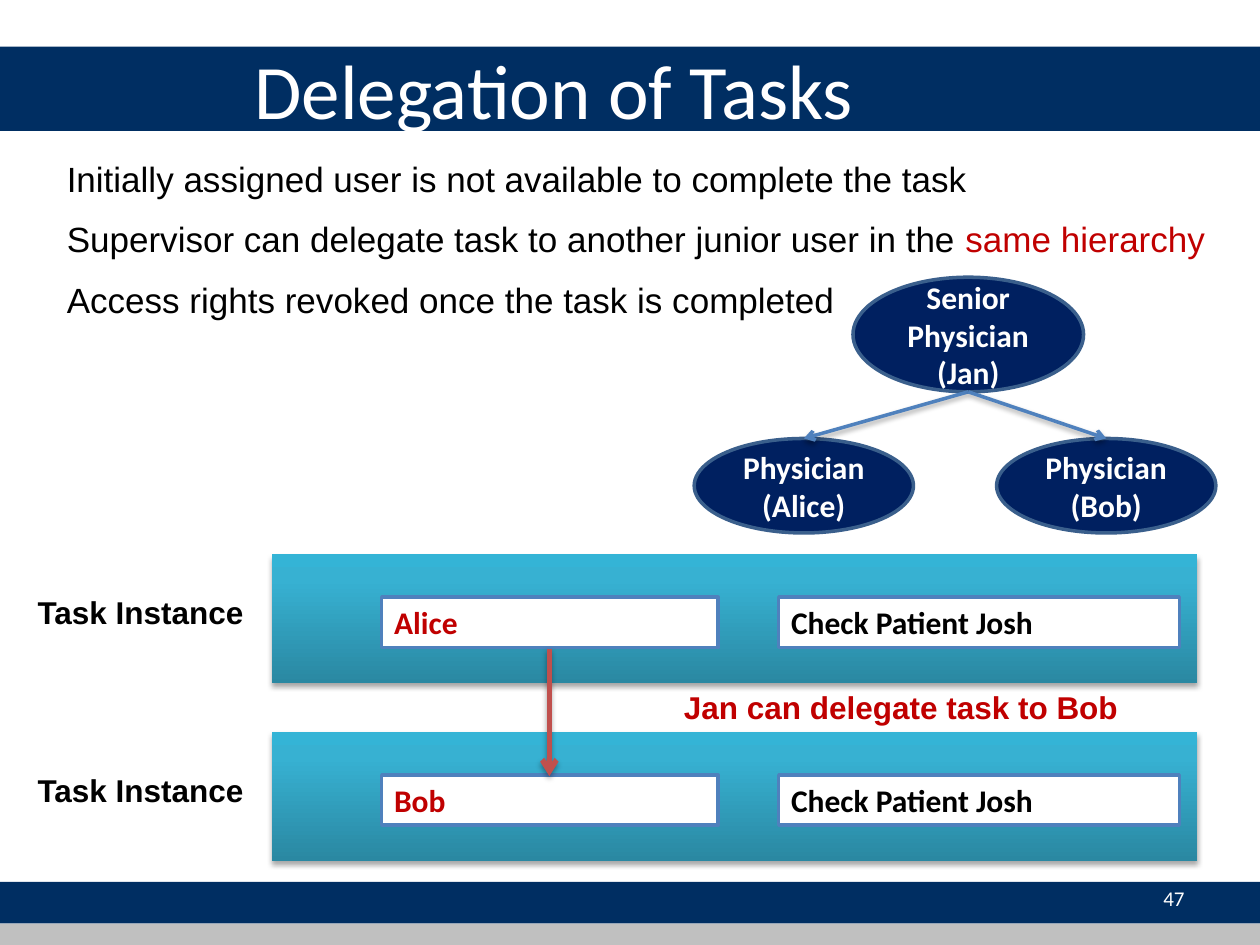
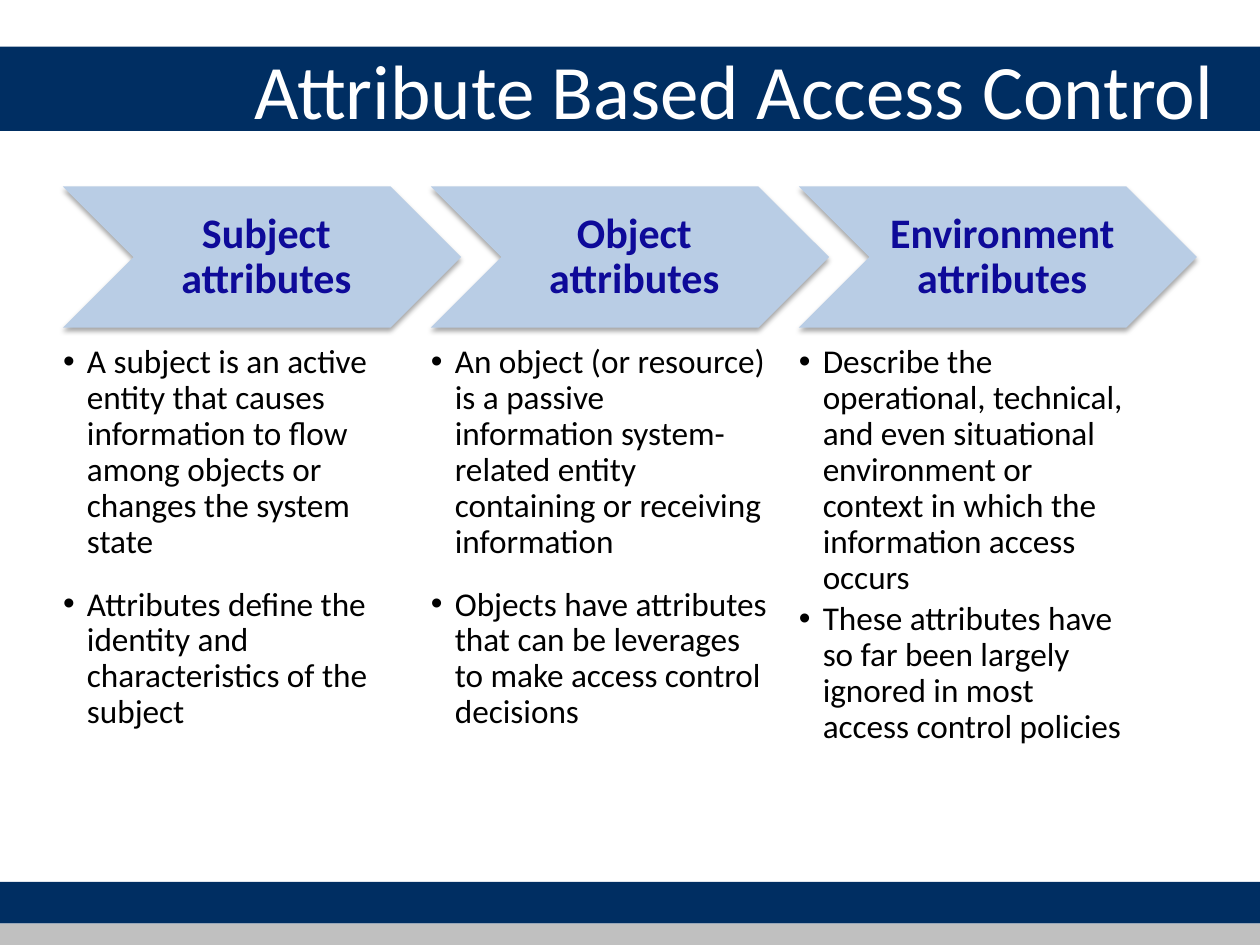
from copy import deepcopy

from lxml.etree import SubElement
from pptx import Presentation
from pptx.dml.color import RGBColor
from pptx.enum.shapes import MSO_CONNECTOR, MSO_SHAPE
from pptx.enum.text import MSO_ANCHOR, MSO_AUTO_SIZE, PP_ALIGN
from pptx.oxml.ns import qn
from pptx.util import Emu, Inches, Pt

# ---- Shared look ----
WIDTH, HEIGHT = 10, 7.5
NAVY, GRAY, WHITE, BLACK = "002E62", "C0C0C0", "FFFFFF", "000000"
RED, BLUE, OVAL, OVAL_EDGE = "C00000", "4F81BD", "002060", "3A5F8C"
DELEGATE_ARROW, CHEVRON, CHEVRON_TEXT = "C0504D", "B9CDE5", "0E0A99"
TEAL_STOPS = [(0, "2A88A2"), (0.8, "37B1D2"), (1, "34B4D6")]
BANDS = [(7, 0.33, NAVY), (0.37, 0.67, NAVY), (7.33, 0.17, GRAY)]
TITLE_BOX = (1.92, 0.08, 7.92, 1.25)

# ---- Content: delegation ----
DELEGATION_TITLE = "Delegation of Tasks"
DELEGATION_POINTS = [
    [("Initially assigned user is not available to complete the task", BLACK)],
    [("Supervisor can delegate task to another junior user in the ", BLACK),
     ("same hierarchy", RED)],
    [("Access rights revoked once the task is completed", BLACK)],
]
SENIOR = ("Senior Physician (Jan)", (6.77, 2.2, 1.83, 0.91))
JUNIORS = [("Physician (Alice)", 5.51), ("Physician (Bob)", 7.91)]
JUNIOR_TOP, JUNIOR_WIDTH, JUNIOR_HEIGHT = 3.48, 1.74, 0.75
TASK_LABEL = "Task Instance"
TASKS = [(4.4, "Alice", "Check Patient Josh"), (5.81, "Bob", "Check Patient Josh")]
DELEGATE_NOTE = "Jan can delegate task to Bob"
PAGE_NUMBER = "47"

# ---- Content: attributes (heading, text width, gap after first point, points) ----
ATTRIBUTES_TITLE = "Attribute Based Access Control"
ATTRIBUTES = [
    ("Subject attributes", 2.52, 15.2, [
        "A subject is an active entity that causes information to flow among "
        "objects or changes the system state",
        "Attributes define the identity and characteristics of the subject"]),
    ("Object attributes", 2.68, 15.2, [
        "An object (or resource) is a passive information system-related entity "
        "containing or receiving information",
        "Objects have attributes that can be leverages to make access control "
        "decisions"]),
    ("Environment attributes", 2.6, 2.85, [
        "Describe the operational, technical, and even situational environment "
        "or context in which the information access occurs",
        "These attributes have so far been largely ignored in most access "
        "control policies"]),
]
COLUMN_LEFT, COLUMN_STEP = 0.5, 2.92


# ---- Helpers ----
def rgb(value):
    return RGBColor.from_string(value)


def place(part, box):
    part.left, part.top, part.width, part.height = map(Inches, box)


def style(paragraph, size, color, font="Calibri", bold=False, align=PP_ALIGN.LEFT):
    paragraph.alignment = align
    paragraph.font.size, paragraph.font.name = Pt(size), font
    paragraph.font.bold = bold
    paragraph.font.color.rgb = rgb(color)


def set_indent(paragraph, bullet=None, hang=0):
    props = paragraph._p.get_or_add_pPr()
    props.set("marL", str(Inches(hang)))
    props.set("indent", str(-Inches(hang)))
    if bullet:
        SubElement(props, qn("a:buFont"), typeface="Arial")
        SubElement(props, qn("a:buChar"), char=bullet)
    else:
        SubElement(props, qn("a:buNone"))


def set_margins(frame, left, top, right, bottom):
    frame.margin_left, frame.margin_top = Inches(left), Inches(top)
    frame.margin_right, frame.margin_bottom = Inches(right), Inches(bottom)


def add_shadow(part):
    props = part._element.spPr
    effects = props.find(qn("a:effectLst"))
    if effects is None:
        effects = SubElement(props, qn("a:effectLst"))
    outer = SubElement(effects, qn("a:outerShdw"), blurRad=str(Pt(3.1)),
                       dist=str(Pt(1.8)), dir="5400000", rotWithShape="0")
    color = SubElement(outer, qn("a:srgbClr"), val=BLACK)
    SubElement(color, qn("a:alpha"), val="35000")


def add_block(slide, kind, box, fill=None, edge=None):
    block = slide.shapes.add_shape(kind, *map(Inches, box))
    block.shadow.inherit = False
    if fill:
        block.fill.solid()
        block.fill.fore_color.rgb = rgb(fill)
    if edge:
        block.line.color.rgb, block.line.width = rgb(edge), Pt(2)
    else:
        block.line.fill.background()
    return block


def write(part, text, size, color, anchor=MSO_ANCHOR.TOP, **look):
    frame = part.text_frame
    frame.word_wrap, frame.vertical_anchor = True, anchor
    frame.text = text
    style(frame.paragraphs[0], size, color, **look)
    return frame


def add_label(slide, box, text, size, color, **look):
    write(slide.shapes.add_textbox(*map(Inches, box)), text, size, color, **look)


def add_arrow(slide, start, end, color, width):
    arrow = slide.shapes.add_connector(
        MSO_CONNECTOR.STRAIGHT, *map(Inches, start + end))
    arrow.line.color.rgb, arrow.line.width = rgb(color), Pt(width)
    SubElement(arrow.line._get_or_add_ln(), qn("a:tailEnd"), type="arrow")
    add_shadow(arrow)


def add_slide(deck, layout, title):
    slide = deck.slides.add_slide(deck.slide_layouts[layout])
    frame = write(slide.shapes.title, title, 44, WHITE, anchor=MSO_ANCHOR.MIDDLE)
    frame.auto_size = MSO_AUTO_SIZE.NONE
    return slide


def set_master(deck, slide):
    """Put the bands behind everything on the master and place its title."""
    master = deck.slide_master
    place(master.placeholders[0], TITLE_BOX)
    for top, height, color in BANDS:
        band = add_block(slide, MSO_SHAPE.RECTANGLE, (0, top, WIDTH, height), color)
        master.shapes._spTree.insert(2, band._element)


# ---- Delegation slide ----
def add_points(slide):
    body = slide.placeholders[1]
    place(body, (0.43, 1.2, WIDTH - 0.43, 1.4))
    frame = body.text_frame
    frame.auto_size = MSO_AUTO_SIZE.NONE
    for number, runs in enumerate(DELEGATION_POINTS):
        point = frame.add_paragraph() if number else frame.paragraphs[0]
        for text, color in runs:
            run = point.add_run()
            run.text = text
            run.font.color.rgb = rgb(color)
        set_indent(point)
        point.space_before = Pt(10.5 if number else 0)
        style(point, 20, BLACK, font="Arial")


def add_person(slide, name, box):
    oval = add_block(slide, MSO_SHAPE.OVAL, box, OVAL, OVAL_EDGE)
    write(oval, name, 18, WHITE, anchor=MSO_ANCHOR.MIDDLE, bold=True,
          align=PP_ALIGN.CENTER)


def add_hierarchy(slide):
    name, (left, top, width, height) = SENIOR
    add_person(slide, name, (left, top, width, height))
    for junior, junior_left in JUNIORS:
        add_person(slide, junior,
                   (junior_left, JUNIOR_TOP, JUNIOR_WIDTH, JUNIOR_HEIGHT))
        add_arrow(slide, (left + width / 2, top + height),
                  (junior_left + JUNIOR_WIDTH / 2, JUNIOR_TOP), BLUE, 2)


def add_task(slide, top, user, task):
    band = add_block(slide, MSO_SHAPE.RECTANGLE, (2.16, top, 7.34, 1.02))
    band.fill.gradient()
    band.fill.gradient_angle = 90
    stops = band._element.spPr.find(".//" + qn("a:gsLst"))
    stops.append(deepcopy(stops[0]))
    for stop, (position, color) in zip(band.fill.gradient_stops, TEAL_STOPS):
        stop.position, stop.color.rgb = position, rgb(color)
    add_shadow(band)
    for left, width, text, color in [(3.03, 2.67, user, RED),
                                     (6.18, 3.18, task, BLACK)]:
        field = add_block(slide, MSO_SHAPE.RECTANGLE,
                          (left, top + 0.34, width, 0.4), WHITE, BLUE)
        write(field, text, 18, color, bold=True)
    add_label(slide, (0.2, top + 0.26, 1.96, 0.4), TASK_LABEL, 18, BLACK,
              font="Arial", bold=True)


def fill_delegation(slide):
    add_points(slide)
    add_hierarchy(slide)
    for task in TASKS:
        add_task(slide, *task)
    add_arrow(slide, (4.36, 5.15), (4.36, 6.16), DELEGATE_ARROW, 3)
    add_label(slide, (5.33, 5.41, 4.03, 0.4), DELEGATE_NOTE, 18, RED,
              font="Arial", bold=True)
    add_label(slide, (7.17, 6.93, 2.33, 0.4), PAGE_NUMBER, 12, WHITE,
              anchor=MSO_ANCHOR.MIDDLE, align=PP_ALIGN.RIGHT)


# ---- Attributes slide ----
def add_column(slide, left, heading, width, gap, points):
    chevron = add_block(slide, MSO_SHAPE.CHEVRON, (left, 1.48, 3.16, 1.12), CHEVRON)
    add_shadow(chevron)
    frame = write(chevron, heading, 24, CHEVRON_TEXT, anchor=MSO_ANCHOR.MIDDLE,
                  bold=True, align=PP_ALIGN.CENTER)
    set_margins(frame, 0.11, 0.04, 0.04, 0.04)
    frame.paragraphs[0].line_spacing = 0.9

    details = slide.shapes.add_textbox(*map(Inches, (left, 2.74, width, 3.89)))
    frame = details.text_frame
    frame.word_wrap = True
    set_margins(frame, 0, 0, 0, 0)
    for number, text in enumerate(points):
        point = frame.add_paragraph() if number else frame.paragraphs[0]
        point.text = text
        set_indent(point, "•", 0.19)
        point.line_spacing, point.space_after = 0.9, Pt(gap)
        style(point, 19, BLACK)


def main():
    deck = Presentation()
    deck.slide_width, deck.slide_height = Emu(Inches(WIDTH)), Emu(Inches(HEIGHT))
    delegation = add_slide(deck, 1, DELEGATION_TITLE)
    set_master(deck, delegation)
    fill_delegation(delegation)
    attributes = add_slide(deck, 5, ATTRIBUTES_TITLE)
    for number, column in enumerate(ATTRIBUTES):
        add_column(attributes, COLUMN_LEFT + number * COLUMN_STEP, *column)
    deck.save("out.pptx")


if __name__ == "__main__":
    main()
